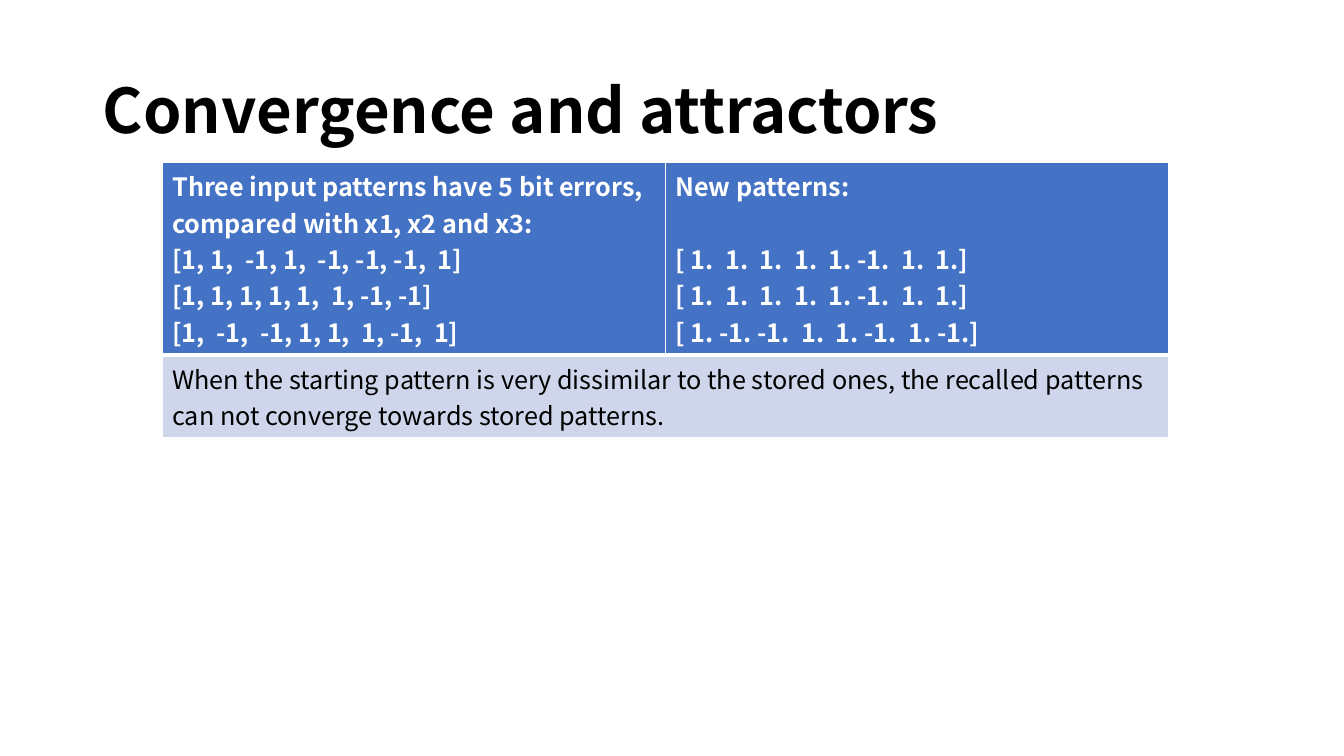
from pptx import Presentation
from pptx.dml.color import RGBColor
from pptx.enum.text import MSO_ANCHOR, PP_ALIGN
from pptx.oxml import parse_xml
from pptx.oxml.ns import nsdecls
from pptx.util import Inches, Pt

# Content
TITLE = "Convergence and attractors"
INPUT_PATTERNS = [
    "Three input patterns have 5 bit errors, compared with x1, x2 and x3:",
    "[1, 1,  -1, 1,  -1, -1, -1,  1]",
    "[1, 1, 1, 1, 1,  1, -1, -1]",
    "[1,  -1,  -1, 1, 1,  1, -1,  1]",
]
NEW_PATTERNS = [
    "New patterns:",
    "[ 1.  1.  1.  1.  1. -1.  1.  1.]",
    "[ 1.  1.  1.  1.  1. -1.  1.  1.]",
    "[ 1. -1. -1.  1.  1. -1.  1. -1.]",
]
CONCLUSION = [
    "When the starting pattern is very dissimilar to the stored ones, "
    "the recalled patterns can not converge towards stored patterns."
]

# Style and layout, lengths in inches
FONT = "Noto Sans CJK SC"
COLORS = {"header": "4472C4", "body": "CFD5EA", "light": "FFFFFF", "dark": "000000"}
SLIDE_SIZE = (13.33, 7.5)
TITLE_BOX = (0.92, 0.4, 11.5, 1.45)
TABLE_LEFT, TABLE_TOP = 1.61, 1.61
COLUMN_WIDTH, COLUMN_COUNT = 4.99, 2
ROW_HEIGHTS = (1.9, 0.82)
TITLE_SIZE, TEXT_SIZE, LINE_PITCH = 44, 18, 26
THIN, THICK = 1, 3


def format_paragraph(paragraph, size, color, bold):
    paragraph.alignment = PP_ALIGN.LEFT
    for run in paragraph.runs:
        run.font.name = FONT
        run.font.size = Pt(size)
        run.font.bold = bold
        run.font.color.rgb = RGBColor.from_string(COLORS[color])


def set_borders(cell, left, right, top, bottom):
    properties = cell._tc.get_or_add_tcPr()
    sides = {"lnL": left, "lnR": right, "lnT": top, "lnB": bottom}
    for position, (side, width) in enumerate(sides.items()):
        properties.insert(position, parse_xml(
            f'<a:{side} {nsdecls("a")} w="{Pt(width)}"><a:solidFill>'
            f'<a:srgbClr val="{COLORS["light"]}"/></a:solidFill></a:{side}>'))


def fill_cell(cell, lines, fill, color, bold):
    cell.fill.solid()
    cell.fill.fore_color.rgb = RGBColor.from_string(COLORS[fill])
    cell.text_frame.text = "\n".join(lines)
    for paragraph in cell.text_frame.paragraphs:
        format_paragraph(paragraph, TEXT_SIZE, color, bold)


def main():
    presentation = Presentation()
    presentation.slide_width, presentation.slide_height = map(Inches, SLIDE_SIZE)
    slide = presentation.slides.add_slide(presentation.slide_layouts[5])

    # Title
    title = slide.shapes.title
    title.left, title.top, title.width, title.height = map(Inches, TITLE_BOX)
    title.text_frame.text = TITLE
    title.text_frame.vertical_anchor = MSO_ANCHOR.MIDDLE
    heading = title.text_frame.paragraphs[0]
    heading.line_spacing = 0.9
    format_paragraph(heading, TITLE_SIZE, "dark", True)

    # Table grid
    table = slide.shapes.add_table(
        len(ROW_HEIGHTS), COLUMN_COUNT, Inches(TABLE_LEFT), Inches(TABLE_TOP),
        Inches(COLUMN_WIDTH * COLUMN_COUNT), Inches(sum(ROW_HEIGHTS))).table
    for column in table.columns:
        column.width = Inches(COLUMN_WIDTH)
    for row, height in zip(table.rows, ROW_HEIGHTS):
        row.height = Inches(height)

    # Pattern columns
    for column, lines in enumerate((INPUT_PATTERNS, NEW_PATTERNS)):
        fill_cell(table.cell(0, column), lines, "header", "light", True)
        set_borders(table.cell(0, column), THIN, THIN, THIN, THICK)
        set_borders(table.cell(1, column), THIN, THIN, THICK, THIN)

    # One line of space keeps both lists of patterns level
    table.cell(0, 1).text_frame.paragraphs[1].space_before = Pt(LINE_PITCH)

    # Conclusion across both columns
    table.cell(1, 0).merge(table.cell(1, COLUMN_COUNT - 1))
    fill_cell(table.cell(1, 0), CONCLUSION, "body", "dark", False)

    presentation.save("out.pptx")


if __name__ == "__main__":
    main()
